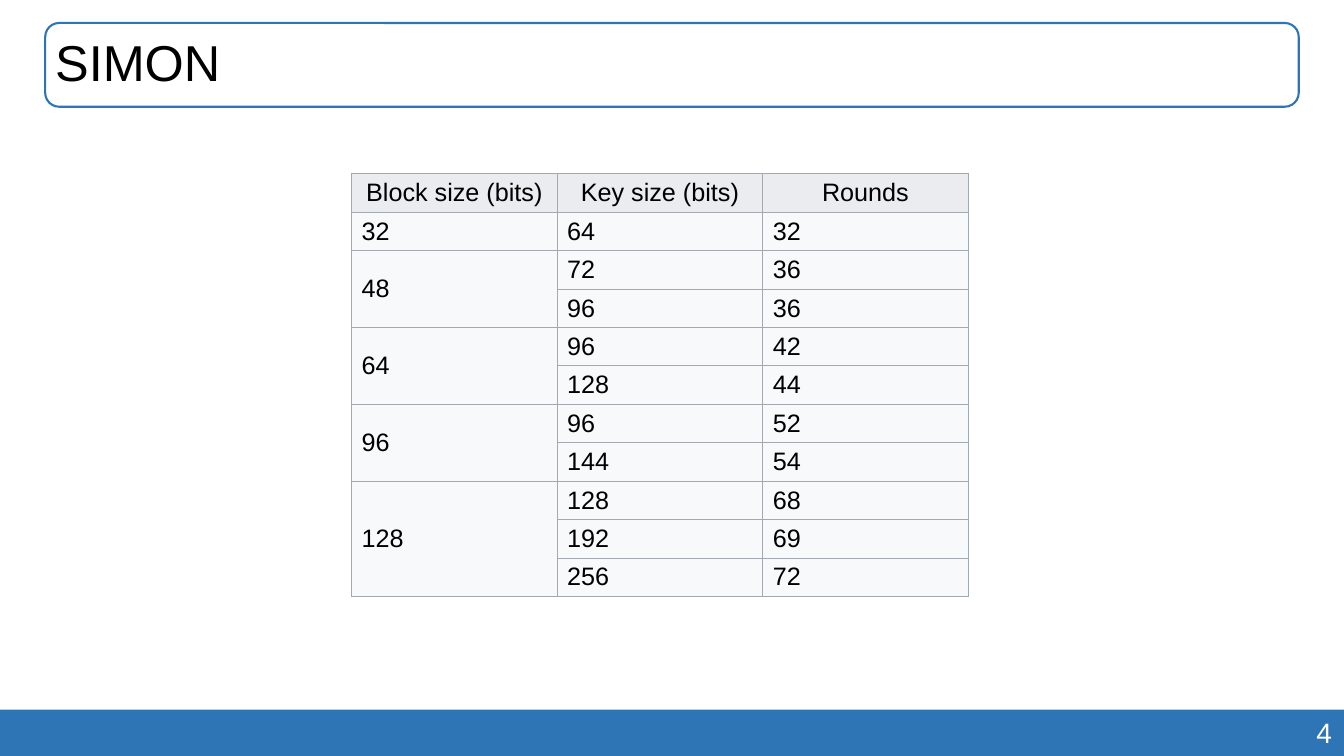
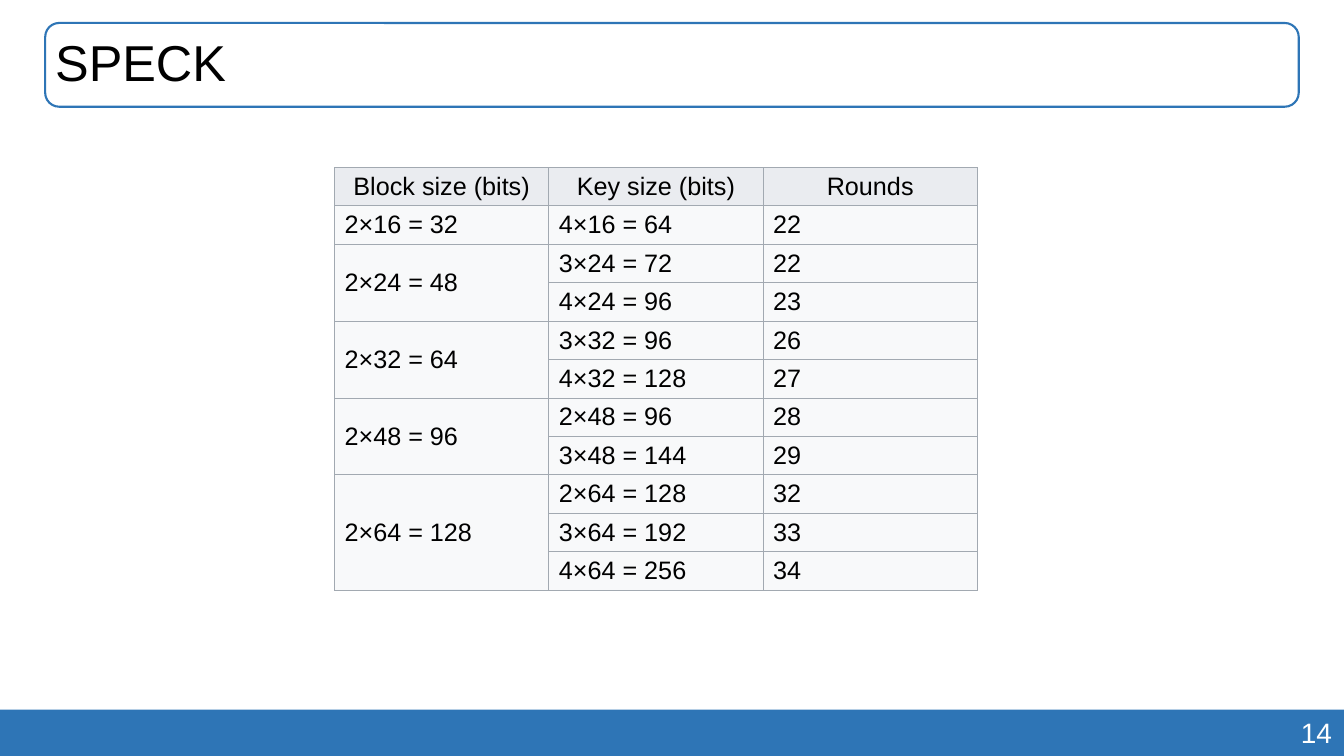
from dataclasses import dataclass

from lxml import etree
from pptx import Presentation
from pptx.dml.color import RGBColor
from pptx.enum.shapes import MSO_SHAPE
from pptx.enum.text import MSO_ANCHOR, PP_ALIGN
from pptx.oxml.ns import qn
from pptx.util import Cm, Pt

RECTANGLE, ROUNDED = MSO_SHAPE.RECTANGLE, MSO_SHAPE.ROUNDED_RECTANGLE
LEFT, CENTER, RIGHT = PP_ALIGN.LEFT, PP_ALIGN.CENTER, PP_ALIGN.RIGHT
MIDDLE = MSO_ANCHOR.MIDDLE

HEADERS = ("Block size (bits)", "Key size (bits)", "Rounds")
SLIDES = [
    {
        "title": "SIMON", "number": "4",
        "left": 8.86, "top": 4.38, "column": 5.18,
        "groups": [
            ("32", [("64", "32")]),
            ("48", [("72", "36"), ("96", "36")]),
            ("64", [("96", "42"), ("128", "44")]),
            ("96", [("96", "52"), ("144", "54")]),
            ("128", [("128", "68"), ("192", "69"), ("256", "72")]),
        ],
    },
    {
        "title": "SPECK", "number": "14",
        "left": 8.43, "top": 4.22, "column": 5.4,
        "groups": [
            ("2×16 = 32", [("4×16 = 64", "22")]),
            ("2×24 = 48", [("3×24 = 72", "22"), ("4×24 = 96", "23")]),
            ("2×32 = 64", [("3×32 = 96", "26"), ("4×32 = 128", "27")]),
            ("2×48 = 96", [("2×48 = 96", "28"), ("3×48 = 144", "29")]),
            ("2×64 = 128", [("2×64 = 128", "32"), ("3×64 = 192", "33"),
                            ("4×64 = 256", "34")]),
        ],
    },
]

SLIDE_WIDTH, SLIDE_HEIGHT = Cm(33.87), Cm(19.05)
BAND_HEIGHT = Cm(1.17)
TITLE_MARGIN, TITLE_TOP, TITLE_HEIGHT = Cm(1.14), Cm(0.58), Cm(2.11)
TABLE_HEIGHT = Cm(10.65)


@dataclass(frozen=True)
class Theme:
    font: str = "Arial"
    accent: str = "2E75B6"
    text: str = "000000"
    inverse: str = "FFFFFF"
    header: str = "EAECF0"
    body: str = "F8F9FA"
    border: str = "A2A9B1"
    title_size: int = 36
    number_size: int = 20
    table_size: int = 18
    title_line: float = 1.5
    border_line: float = 0.75


THEME = Theme()


def rgb(value):
    return RGBColor.from_string(value)


def write(frame, text, *, size, color=THEME.text, align=LEFT, spacing=None):
    paragraph = frame.paragraphs[0]
    paragraph.alignment = align
    paragraph.line_spacing = spacing
    run = paragraph.add_run()
    run.text = text
    run.font.name = THEME.font
    run.font.size = Pt(size)
    run.font.bold = False
    run.font.color.rgb = rgb(color)


def add_panel(slide, kind, left, top, width, height, *, fill=None, line=None):
    shape = slide.shapes.add_shape(kind, left, top, width, height)
    shape.shadow.inherit = False
    if fill:
        shape.fill.solid()
        shape.fill.fore_color.rgb = rgb(fill)
    else:
        shape.fill.background()
    if line:
        shape.line.color.rgb = rgb(line)
        shape.line.width = Pt(THEME.title_line)
    else:
        shape.line.fill.background()
    shape.text_frame.word_wrap = True
    shape.text_frame.vertical_anchor = MIDDLE
    return shape


def add_frame(slide, title, number):
    band = add_panel(slide, RECTANGLE, 0, SLIDE_HEIGHT - BAND_HEIGHT,
                     SLIDE_WIDTH, BAND_HEIGHT, fill=THEME.accent)
    band.text_frame.margin_right = Cm(0.3)
    write(band.text_frame, number, size=THEME.number_size,
          color=THEME.inverse, align=RIGHT)
    box = add_panel(slide, ROUNDED, TITLE_MARGIN, TITLE_TOP,
                    SLIDE_WIDTH - 2 * TITLE_MARGIN, TITLE_HEIGHT, line=THEME.accent)
    box.text_frame.margin_left = Cm(0.15)
    write(box.text_frame, title, size=THEME.title_size, spacing=0.9)


def style_cell(cell, fill):
    cell.vertical_anchor = MIDDLE
    cell.margin_top = cell.margin_bottom = Cm(0.1)
    cell.fill.solid()
    cell.fill.fore_color.rgb = rgb(fill)
    properties = cell._tc.get_or_add_tcPr()
    for position, side in enumerate(("lnL", "lnR", "lnT", "lnB")):
        line = etree.Element(qn(f"a:{side}"), w=str(Pt(THEME.border_line)))
        solid = etree.SubElement(line, qn("a:solidFill"))
        etree.SubElement(solid, qn("a:srgbClr"), val=THEME.border)
        properties.insert(position, line)


def add_size_table(slide, groups, left, top, column):
    row_count = 1 + sum(len(variants) for _, variants in groups)
    table = slide.shapes.add_table(
        row_count, len(HEADERS), Cm(left), Cm(top),
        Cm(column * len(HEADERS)), TABLE_HEIGHT).table
    table.horz_banding = False
    for row_index, row in enumerate(table.rows):
        row.height = TABLE_HEIGHT // row_count
        for cell in row.cells:
            style_cell(cell, THEME.body if row_index else THEME.header)

    def fill_cell(row, column_index, text, align=LEFT):
        write(table.cell(row, column_index).text_frame, text,
              size=THEME.table_size, align=align)

    for index, header in enumerate(HEADERS):
        fill_cell(0, index, header, CENTER)
    first = 1
    for block, variants in groups:
        if len(variants) > 1:
            table.cell(first, 0).merge(table.cell(first + len(variants) - 1, 0))
        fill_cell(first, 0, block)
        for row, (key, rounds) in enumerate(variants, first):
            fill_cell(row, 1, key)
            fill_cell(row, 2, rounds)
        first += len(variants)


def main():
    presentation = Presentation()
    presentation.slide_width = SLIDE_WIDTH
    presentation.slide_height = SLIDE_HEIGHT
    for content in SLIDES:
        slide = presentation.slides.add_slide(presentation.slide_layouts[6])
        add_frame(slide, content["title"], content["number"])
        add_size_table(slide, content["groups"], content["left"],
                       content["top"], content["column"])
    presentation.save("out.pptx")


if __name__ == "__main__":
    main()
